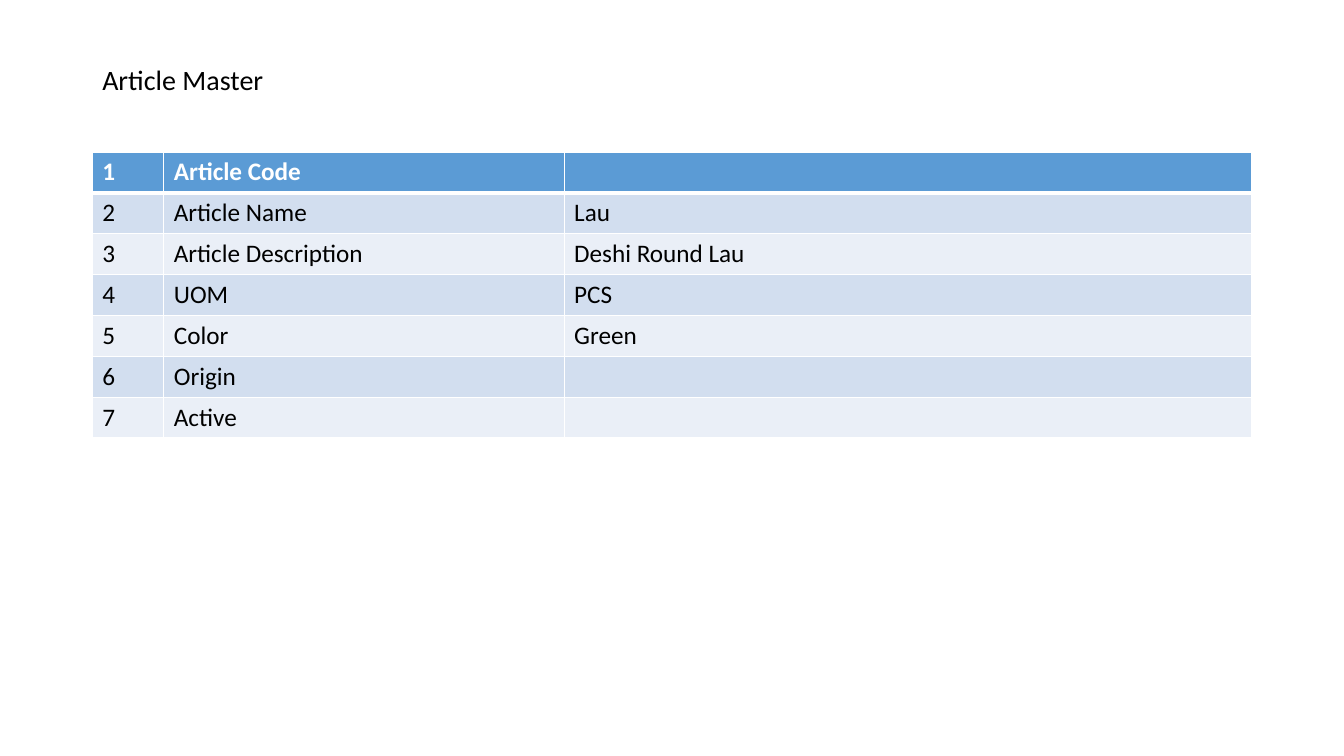
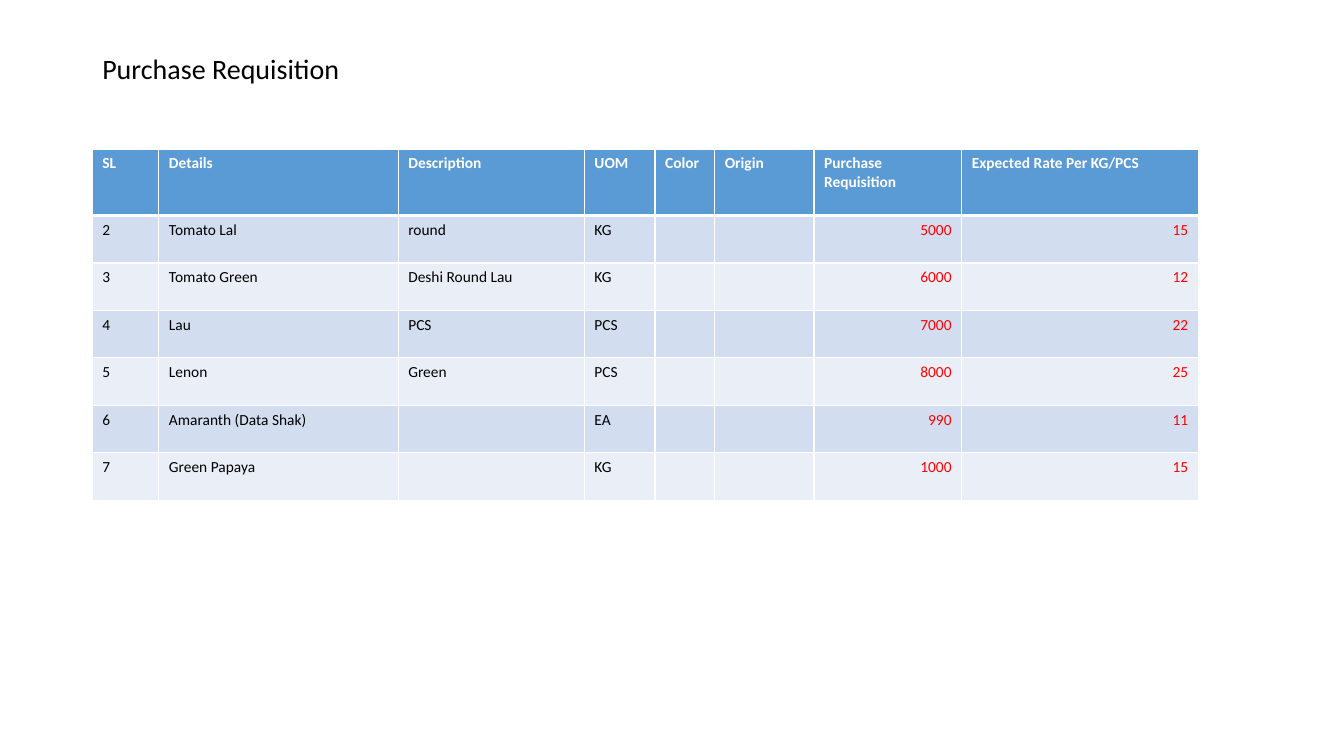
from lxml.etree import SubElement
from pptx import Presentation
from pptx.dml.color import RGBColor
from pptx.enum.text import MSO_ANCHOR as ANCHOR, PP_ALIGN as ALIGN
from pptx.oxml.ns import qn
from pptx.util import Pt

WHITE = RGBColor(0xFF, 0xFF, 0xFF)
BLACK = RGBColor(0, 0, 0)
RED = RGBColor(0xFF, 0, 0)
HEADER = RGBColor(0x5B, 0x9B, 0xD5)
BANDS = RGBColor(0xEA, 0xEF, 0xF7), RGBColor(0xD2, 0xDE, 0xEF)
FONT = "Calibri"
LEFT = 66

ARTICLE = [
    ("1", "Article Code", ""),
    ("2", "Article Name", "Lau"),
    ("3", "Article Description", "Deshi Round Lau"),
    ("4", "UOM", "PCS"),
    ("5", "Color", "Green"),
    ("6", "Origin", ""),
    ("7", "Active", ""),
]
REQUISITION = [
    ("SL", "Details", "Description", "UOM", "Color", "Origin",
     "Purchase Requisition", "Expected Rate Per KG/PCS"),
    ("2", "Tomato Lal", "round", "KG", "", "", "5000", "15"),
    ("3", "Tomato Green", "Deshi Round Lau", "KG", "", "", "6000", "12"),
    ("4", "Lau", "PCS", "PCS", "", "", "7000", "22"),
    ("5", "Lenon", "Green", "PCS", "", "", "8000", "25"),
    ("6", "Amaranth (Data Shak)", "", "EA", "", "", "990", "11"),
    ("7", "Green Papaya", "", "KG", "", "", "1000", "15"),
]


def write(tf, text, size=18, color=BLACK, bold=False, align=ALIGN.LEFT, spacing=None):
    """Write one formatted paragraph into a text frame."""
    p = tf.paragraphs[0]
    p.alignment = align
    p.line_spacing = spacing
    p.font.size = Pt(size)
    if text:
        r = p.add_run()
        r.text = text
        r.font.name = FONT
        r.font.size = Pt(size)
        r.font.bold = bold
        r.font.color.rgb = color


def add_title(s, text, top):
    """Add the slide title."""
    tf = s.shapes.add_textbox(Pt(LEFT), Pt(top), Pt(828), Pt(43.2)).text_frame
    tf.word_wrap = True
    tf.vertical_anchor = ANCHOR.MIDDLE
    write(tf, text, size=20, spacing=0.9)


def set_borders(cell, **widths):
    """Draw white cell borders with the given widths in points."""
    tcPr = cell._tc.get_or_add_tcPr()
    for side in ("L", "R", "T", "B"):
        ln = SubElement(tcPr, qn(f"a:ln{side}"), w=str(Pt(widths.get(side, 1))))
        fill = SubElement(ln, qn("a:solidFill"))
        SubElement(fill, qn("a:srgbClr"), val=str(WHITE))


def add_grid(s, rows, top, widths, heights, size, red_from=None):
    """Add a banded table; columns from red_from on hold red figures."""
    box = s.shapes.add_table(len(rows), len(widths), Pt(LEFT), Pt(top),
                             Pt(sum(widths)), Pt(sum(heights)))
    table = box.table
    for column, width in zip(table.columns, widths):
        column.width = Pt(width)
    for i, (row, height) in enumerate(zip(rows, heights)):
        table.rows[i].height = Pt(height)
        for j, text in enumerate(row):
            cell = table.cell(i, j)
            if i == 0:
                set_borders(cell, B=3)
                style = dict(color=WHITE, bold=True)
            else:
                set_borders(cell, T=3 if i == 1 else 1)
                figure = red_from is not None and j >= red_from
                style = dict(color=RED, align=ALIGN.RIGHT) if figure else {}
            cell.fill.solid()
            cell.fill.fore_color.rgb = BANDS[i % 2] if i else HEADER
            write(cell.text_frame, text, size=size, **style)


def main():
    """Build and save both slides."""
    prs = Presentation()
    prs.slide_width, prs.slide_height = Pt(960), Pt(540)
    blank = prs.slide_layouts[6]

    s = prs.slides.add_slide(blank)
    add_title(s, "Article Master", 36.5)
    add_grid(s, ARTICLE, 108.5, [51, 286, 491], [29.2] * 7, 18)

    s = prs.slides.add_slide(blank)
    add_title(s, "Purchase Requisition", 28.8)
    add_grid(s, REQUISITION, 106.5,
             [47.5, 171, 133, 50.5, 42.6, 71, 105.5, 169],
             [47.5] + [33.9] * 6, 11, red_from=6)

    prs.save("out.pptx")


main()
